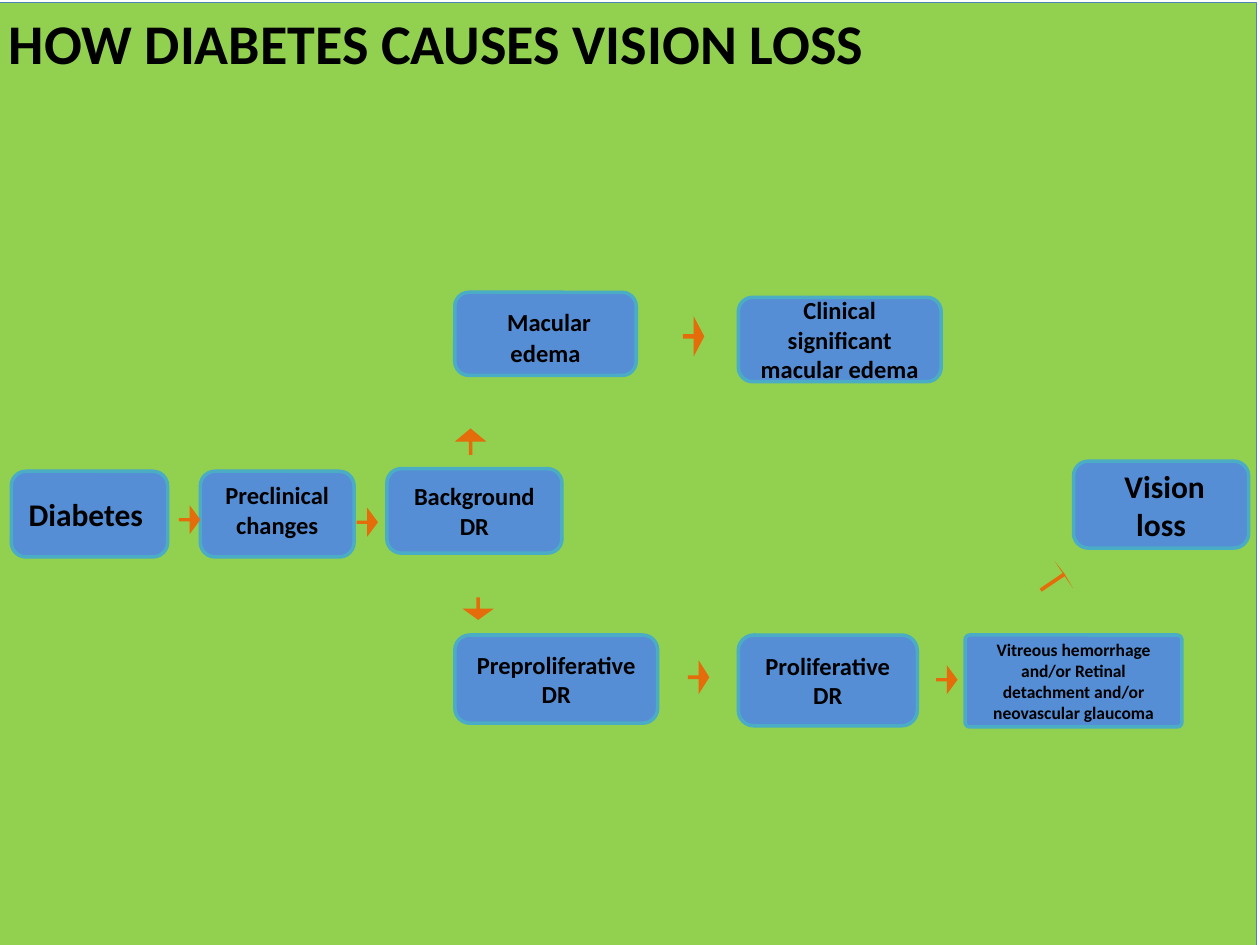
from pptx import Presentation
from pptx.dml.color import RGBColor
from pptx.enum.shapes import MSO_SHAPE as Kind
from pptx.enum.text import MSO_ANCHOR as Anchor, MSO_AUTO_SIZE as Fit, PP_ALIGN as Align
from pptx.util import Inches, Pt


def paint(item, fill, line=None, width=0):
    item.shadow.inherit = False
    item.fill.solid()
    item.fill.fore_color.rgb = RGBColor.from_string(fill)
    if line:
        item.line.color.rgb = RGBColor.from_string(line)
        item.line.width = Pt(width)
    else:
        item.line.fill.background()


def style(para, size, align):
    para.alignment = align
    font = para.font
    font.name, font.size, font.bold = "Calibri", Pt(size), True
    font.color.rgb = RGBColor.from_string("000000")


deck = Presentation()
deck.slide_width, deck.slide_height = Inches(10), Inches(7.5)
col = deck.slide_width / 100
row = deck.slide_height / 75
slide = deck.slides.add_slide(deck.slide_layouts[5])

title = slide.shapes.title
title.left, title.top = int(-0.3 * col), int(0.2 * row)
title.width, title.height = deck.slide_width, deck.slide_height
paint(title, "92D050", "4F81BD", 0.75)
frame = title.text_frame
frame.text = "HOW DIABETES CAUSES VISION LOSS"
frame.vertical_anchor = Anchor.TOP
frame.auto_size = Fit.NONE
frame.word_wrap = True
style(frame.paragraphs[0], 32, Align.LEFT)

# Stages: text, size, left, top, width, height in columns and rows
stages = [
    ("Diabetes ", 18, 0.9, 37.4, 12.4, 6.8),
    ("Preclinical changes", 14, 15.9, 37.4, 12.2, 6.8),
    ("Background DR", 14, 30.7, 37.2, 13.9, 6.7),
    (" Macular edema", 14, 36.1, 23.2, 14.4, 6.6),
    ("Clinical significant macular edema", 14, 58.6, 23.6, 16.1, 6.7),
    ("Preproliferative DR", 14, 36.1, 50.4, 16.1, 7),
    ("Proliferative DR", 14, 58.6, 50.4, 14.2, 7.2),
    ("Vitreous hemorrhage and/or Retinal detachment and/or neovascular glaucoma",
     10, 76.6, 50.4, 17.2, 7.3),
    (" Vision loss", 18, 85.2, 36.6, 13.9, 6.9),
]
for text, size, x, y, w, h in stages:
    box = slide.shapes.add_shape(Kind.ROUNDED_RECTANGLE, int(x * col), int(y * row),
                                 int(w * col), int(h * row))
    box.adjustments[0] = 0.05 if size == 10 else 0.17
    paint(box, "558ED5", "4BACC6", 2)
    frame = box.text_frame
    frame.word_wrap = True
    frame.vertical_anchor = Anchor.MIDDLE
    if text.startswith("Preclinical"):
        frame.margin_bottom = Inches(0.12)
    para = frame.paragraphs[0]
    style(para, size, Align.CENTER)
    if text.startswith(" "):
        lead = para.add_run()
        lead.text = " "
        lead.font.size = Pt(18)
        lead.font.bold = False
    para.add_run().text = text.lstrip()

# Arrows: kind, left, top, width, height, head length, turn
right = Kind.RIGHT_ARROW
arrows = [
    (right, 14.2, 40.1, 1.7, 2.3, 0.5, 0),
    (right, 28.3, 40.3, 1.7, 2.3, 0.5, 0),
    (right, 54.2, 25.1, 1.7, 3.2, 0.5, 0),
    (right, 54.6, 52.4, 1.7, 2.7, 0.5, 0),
    (right, 74.3, 52.8, 1.7, 2.3, 0.5, 0),
    (right, 82.4, 44.9, 2.3, 2.6, 0.04, 326),
    (Kind.UP_ARROW, 36.1, 34, 2.5, 2.1, 0.5, 0),
    (Kind.DOWN_ARROW, 36.7, 47.4, 2.5, 1.8, 0.5, 0),
]
for kind, x, y, w, h, head, turn in arrows:
    arrow = slide.shapes.add_shape(kind, int(x * col), int(y * row), int(w * col), int(h * row))
    arrow.adjustments[0], arrow.adjustments[1] = 0.11, head
    arrow.rotation = turn
    paint(arrow, "E46C0A")

deck.save("out.pptx")
